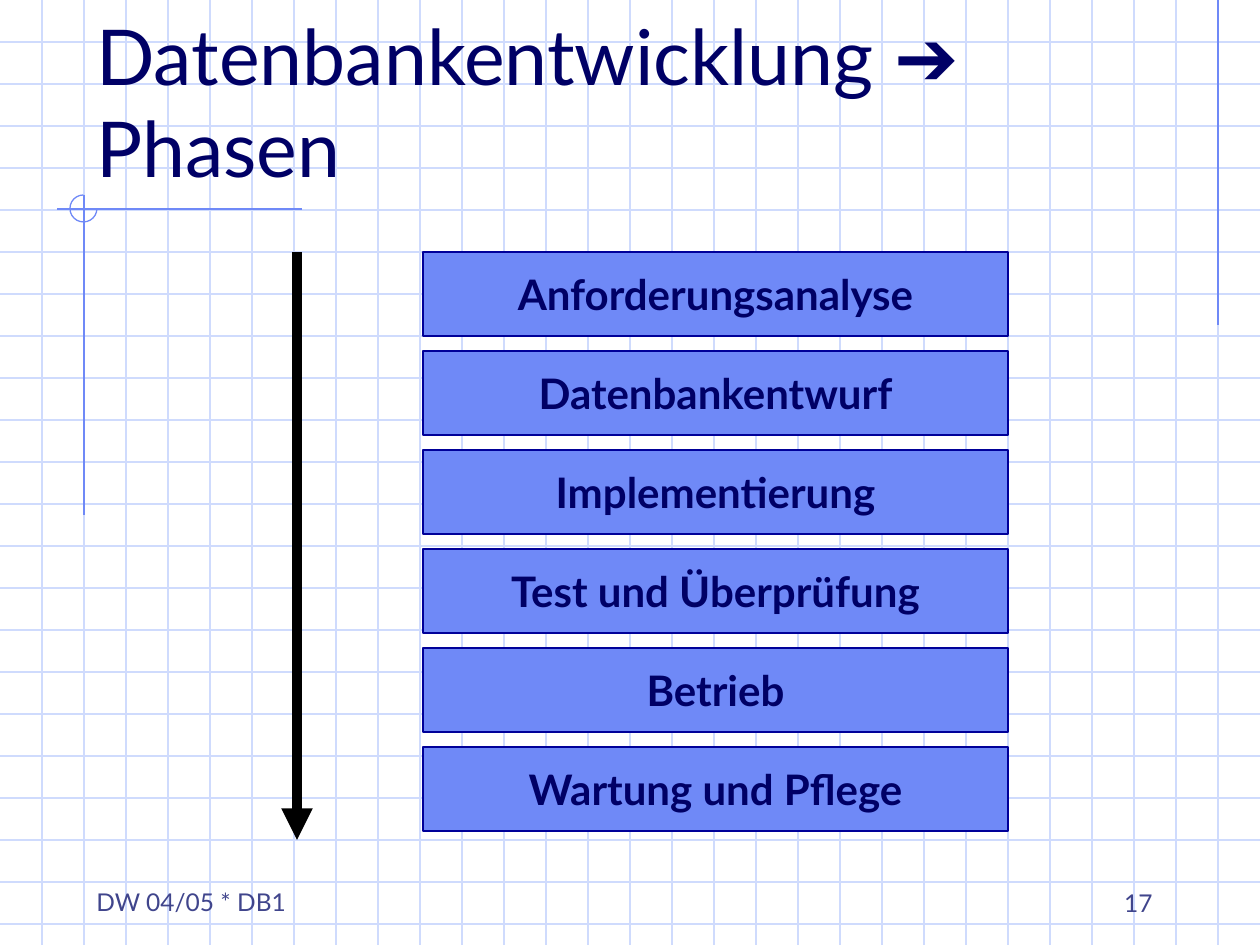
from dataclasses import dataclass

from lxml import etree
from pptx import Presentation
from pptx import util as u
from pptx.dml.color import RGBColor
from pptx.enum import shapes, text
from pptx.oxml import ns

PX = u.Inches(1) / 126
WIDTH, HEIGHT = 1260, 945
GRID = 42


def px(length):
    return u.Emu(round(length * PX))


def set_all(target, values):
    for name, value in values.items():
        setattr(target, name, value)


@dataclass(frozen=True)
class Theme:
    grid: str = "CFDBFD"
    accent: str = "6F89F7"
    border: str = "000099"
    ink: str = "000066"
    muted: str = "40458C"
    arrow: str = "000000"
    font: str = "Lato"
    symbol_font: str = "Arial"
    title_size: int = 44
    phase_size: int = 24
    footer_size: int = 14
    thin: float = 0.75
    thick: float = 6


class SlideBuilder:
    def __init__(self, slide, theme):
        self.slide = slide
        self.theme = theme

    def style_line(self, line, color, width):
        line.color.rgb = RGBColor.from_string(color)
        line.width = u.Pt(width)

    def line(self, x1, y1, x2, y2, color, width=None, arrowhead=False):
        connector = self.slide.shapes.add_connector(
            shapes.MSO_CONNECTOR.STRAIGHT, px(x1), px(y1), px(x2), px(y2))
        self.style_line(connector.line, color, width or self.theme.thin)
        properties = connector._element.spPr
        if arrowhead:
            outline = properties.find(ns.qn("a:ln"))
            etree.SubElement(outline, ns.qn("a:tailEnd"), type="triangle")
        etree.SubElement(properties, ns.qn("a:effectLst"))

    def shape(self, kind, x, y, width, height, line_color, fill=None):
        shape = self.slide.shapes.add_shape(
            kind, px(x), px(y), px(width), px(height))
        shape.shadow.inherit = False
        self.style_line(shape.line, line_color, self.theme.thin)
        if fill:
            shape.fill.solid()
            shape.fill.fore_color.rgb = RGBColor.from_string(fill)
        else:
            shape.fill.background()
        return shape

    def arc(self, x, y, size, start, end):
        """Draw a clockwise circular arc between two angles in degrees."""
        arc = self.shape(shapes.MSO_SHAPE.ARC, x, y, size, size,
                         self.theme.accent)
        arc.adjustments[0] = start * 0.6
        arc.adjustments[1] = end * 0.6

    def set_text(self, shape, lines, size, color, bold=False, wrap=True,
                 anchor=text.MSO_ANCHOR.TOP, align=text.PP_ALIGN.LEFT):
        """Fill a shape with one paragraph; each line is a list of (text, font)."""
        frame = shape.text_frame
        set_all(frame, {"word_wrap": wrap, "vertical_anchor": anchor})
        paragraph = frame.paragraphs[0]
        paragraph.alignment = align
        for index, runs in enumerate(lines):
            if index:
                paragraph.add_line_break()
            for words, font in runs:
                run = paragraph.add_run()
                run.text = words
                set_all(run.font, {"name": font, "size": u.Pt(size), "bold": bold})
                run.font.color.rgb = RGBColor.from_string(color)

    def text_box(self, x, y, width, height, lines, size, color, **options):
        box = self.slide.shapes.add_textbox(px(x), px(y), px(width), px(height))
        self.set_text(box, lines, size, color, **options)

    def phase(self, x, y, width, height, label):
        theme = self.theme
        box = self.shape(shapes.MSO_SHAPE.RECTANGLE, x, y, width, height,
                         theme.border, theme.accent)
        self.set_text(box, [[(label, theme.font)]], theme.phase_size, theme.ink,
                      bold=True, wrap=False, anchor=text.MSO_ANCHOR.MIDDLE,
                      align=text.PP_ALIGN.CENTER)


def draw_background(builder):
    theme = builder.theme
    for y in range(GRID, HEIGHT, GRID):
        builder.line(0, y, WIDTH, y, theme.grid)
    for x in range(GRID, WIDTH, GRID):
        builder.line(x, 0, x, HEIGHT, theme.grid)
    for ends in ((1218, 0, 1218, 325), (302, 209, 57, 209), (84, 195, 84, 515)):
        builder.line(*ends, theme.accent)
    builder.arc(70, 195, 27, 0, 270)


def draw_phases(builder):
    phases = ("Anforderungsanalyse", "Datenbankentwurf", "Implementierung",
              "Test und Überprüfung", "Betrieb", "Wartung und Pflege")
    top, pitch = 252, 99
    for index, label in enumerate(phases):
        builder.phase(423, top + index * pitch, 585, 84, label)
    builder.line(297, top, 297, 840, builder.theme.arrow,
                 builder.theme.thick, arrowhead=True)


def main():
    presentation = Presentation()
    set_all(presentation, {"slide_width": px(WIDTH), "slide_height": px(HEIGHT)})
    slide = presentation.slides.add_slide(presentation.slide_layouts[6])
    theme = Theme()
    builder = SlideBuilder(slide, theme)

    draw_background(builder)
    builder.text_box(84, 881, 284, 43, [[("DW 04/05 * DB1", theme.font)]],
                     theme.footer_size, theme.muted)
    builder.text_box(84, 42, 1071, 157,
                     [[("Datenbankentwicklung ", theme.font),
                       ("➔", theme.symbol_font)],
                      [("Phasen", theme.font)]],
                     theme.title_size, theme.ink, anchor=text.MSO_ANCHOR.BOTTOM)
    draw_phases(builder)
    builder.text_box(903, 861, 262, 63, [[("17", theme.font)]],
                     theme.footer_size, theme.muted,
                     anchor=text.MSO_ANCHOR.BOTTOM, align=text.PP_ALIGN.RIGHT)
    presentation.save("out.pptx")


if __name__ == "__main__":
    main()
